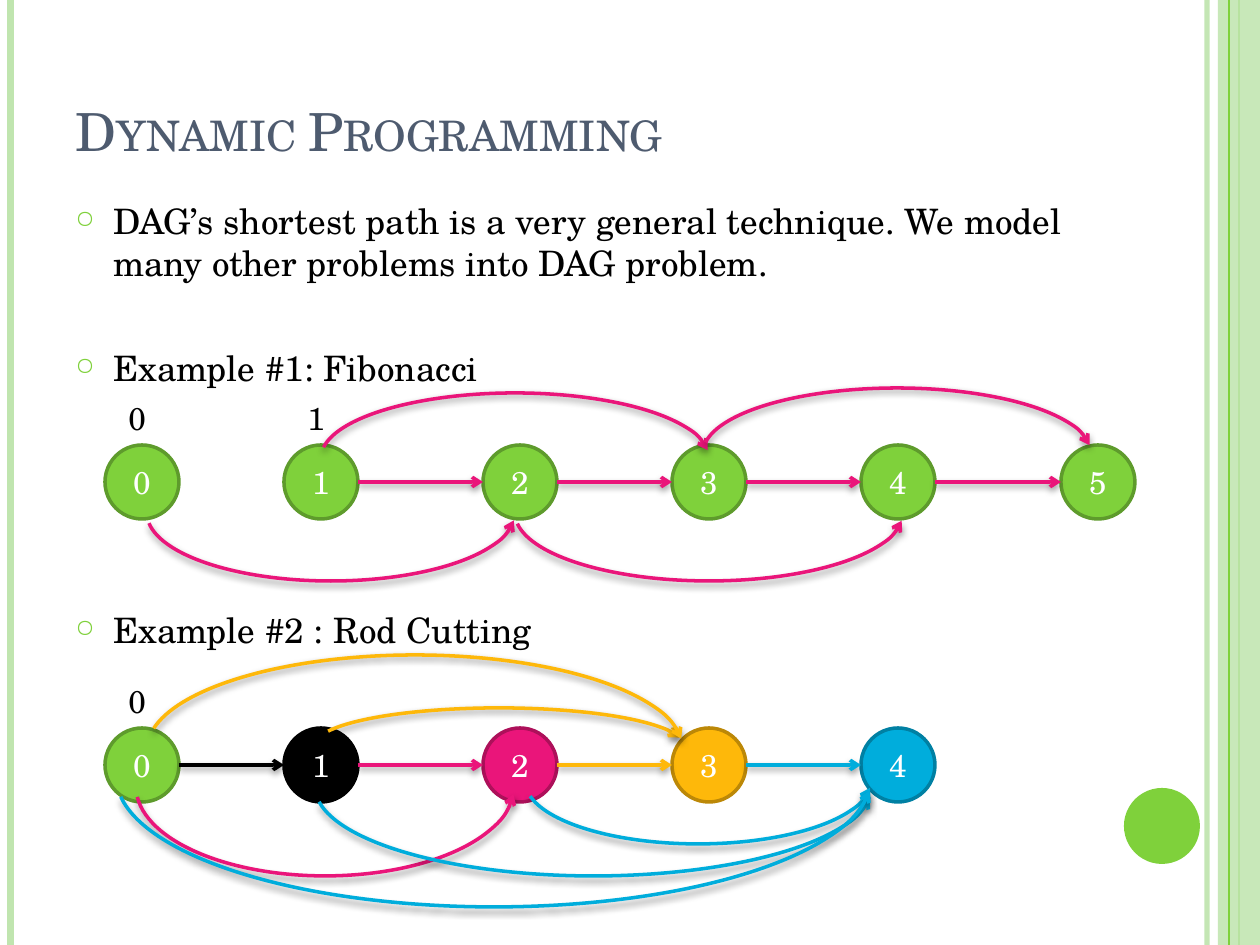
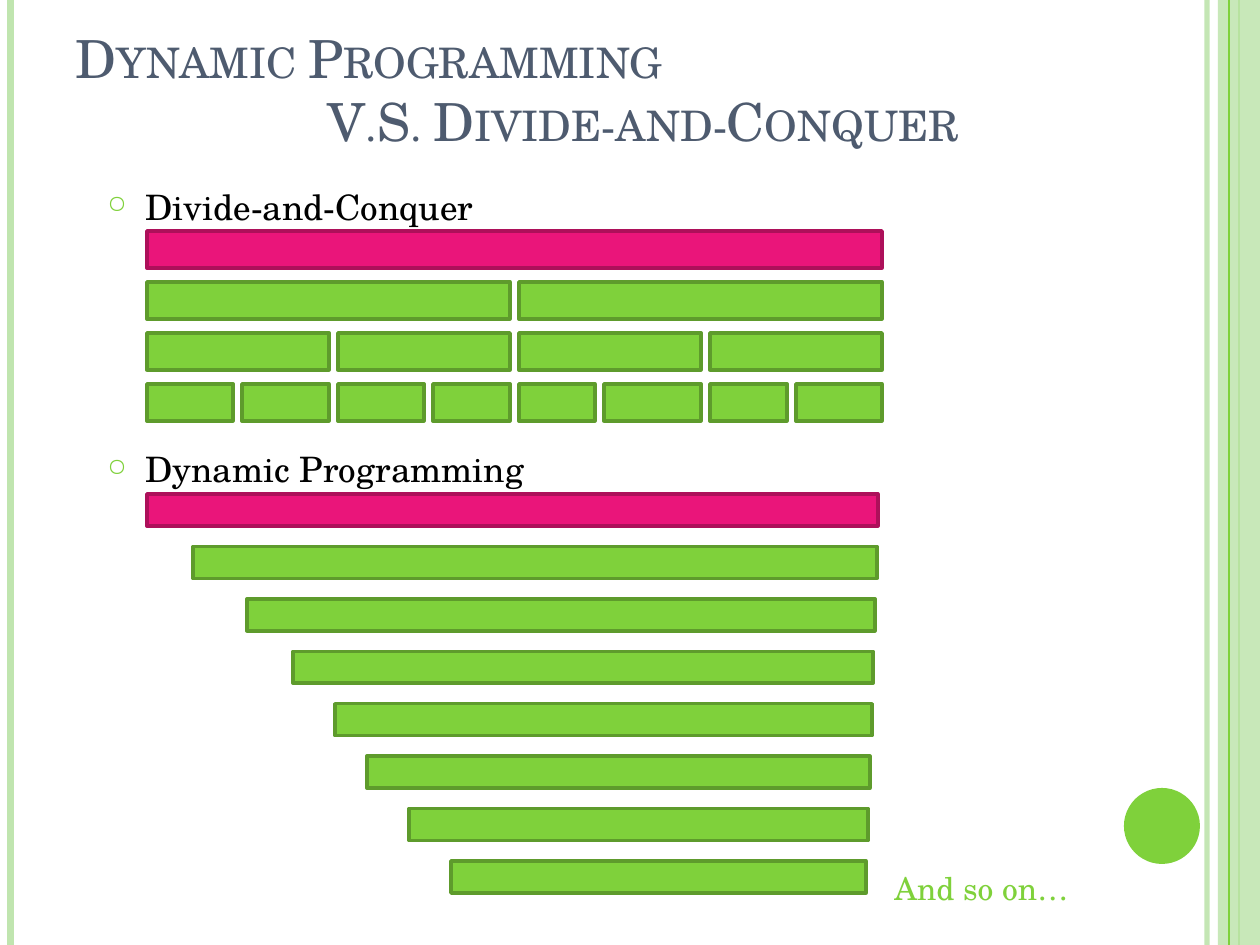
from dataclasses import dataclass

from lxml import etree
from pptx import Presentation
from pptx import util as u
from pptx.dml.color import RGBColor
from pptx.enum import shapes, text
from pptx.oxml.ns import qn


@dataclass(frozen=True)
class Theme:
    """Colours, font and type sizes of the deck."""
    font: str = "TeX Gyre Schola"
    head: int = 30
    body: int = 20
    note: int = 18
    slate: str = "4E5B6F"
    black: str = "000000"
    white: str = "FFFFFF"
    pale: str = "C0E5AF"
    green: str = "7FD13B"
    pink: str = "EA157A"
    gold: str = "FEB80A"
    blue: str = "00ADDC"


T = Theme()
RIMS = {T.green: "5E9B2C", T.pink: "AD105A", T.gold: "BC8807",
        T.blue: "0080A3", T.black: T.black}
SCALE = 914400 / 126
NODES = [0, 179, 378, 567, 756, 956]
NODE = 74
EDGES = [0, 95, 191, 286, 372, 457, 563, 649, 744]
STEPS = [0, 46, 100, 146, 188, 220, 262, 304]
KIND = shapes.MSO_SHAPE


def px(*vals):
    """Turn px lengths into EMU."""
    return [u.Emu(round(val * SCALE)) for val in vals]


def put(item, vals):
    """Set attributes from a dict."""
    for key, val in vals.items():
        setattr(item, key, val)


def node(root, tag, **attrs):
    """Append a drawing element and return it."""
    return etree.SubElement(root, qn("a:" + tag), attrs)


def write(par, words, size, color):
    """Add a formatted run to a paragraph."""
    run = par.add_run()
    run.text = words
    put(run.font, {"name": T.font, "size": u.Pt(size)})
    run.font.color.rgb = RGBColor.from_string(color)
    return run


def effect(item, shade=False):
    """Replace the style's shadow by none or by a soft one."""
    fx = node(item.element.spPr, "effectLst")
    if shade:
        cast = node(fx, "outerShdw", blurRad=str(u.Pt(4)), dist=str(u.Pt(2)),
                    dir="5400000", rotWithShape="0")
        node(node(cast, "srgbClr", val=T.black), "alpha", val="40000")


def fade(item, part):
    """Set the opacity of a shape's colours in percent."""
    for color in list(item.element.spPr.iter(qn("a:srgbClr"))):
        node(color, "alpha", val=str(part * 1000))


def stroke(item, color, width=2, arrow=False):
    """Format a line, with an arrowhead and shadow if asked."""
    item.line.color.rgb = RGBColor.from_string(color)
    item.line.width = u.Pt(width)
    if arrow:
        node(item.element.spPr.find(qn("a:ln")), "tailEnd", type="arrow")
    effect(item, arrow)


def solid(pen, kind, box, fill, rim=None):
    """Draw a filled shape."""
    item = pen.add_shape(kind, *px(*box))
    item.fill.solid()
    item.fill.fore_color.rgb = RGBColor.from_string(fill)
    if rim:
        stroke(item, rim)
    else:
        item.line.fill.background()
        effect(item)
    return item


def line(pen, ends, color, width=2, arrow=False):
    """Draw a straight line."""
    item = pen.add_connector(shapes.MSO_CONNECTOR.STRAIGHT, *px(*ends))
    stroke(item, color, width, arrow)
    return item


def arc(pen, box, color, flip, start):
    """Draw a curved arrow, with its start in degrees."""
    item = pen.add_shape(KIND.ARC, *px(*box))
    item.adjustments[0] = start * 0.6
    item.adjustments[1] = 214.6
    item.fill.background()
    if flip:
        item.element.spPr.find(qn("a:xfrm")).set("flipV", "1")
    stroke(item, color, arrow=True)


def label(pen, box, words, color):
    """Place a short line of text."""
    frame = pen.add_textbox(*px(*box)).text_frame
    frame.word_wrap = True
    write(frame.paragraphs[0], words, T.note, color)


def bands(slide, layout, box):
    """Draw the side bands and move them to the layout."""
    for hold in list(layout.placeholders):
        if hold.placeholder_format.idx:
            hold.element.getparent().remove(hold.element)
    left, top, wide, high = box
    pen = slide.shapes

    def rule(x, color, width):
        """Draw a rule over the full height."""
        return line(pen, (left + x, top, left + x, top + high), color, width)

    edge = rule(wide - 53, T.pale, 3)
    fade(edge, 93)
    parts = [edge, rule(10.5, T.pale, 4.5), rule(wide - 21, T.green, 1.5)]
    strip = solid(pen, KIND.RECTANGLE, (left + wide - 42, top, 42, high), T.pale)
    fade(strip, 87)
    parts += [strip, rule(wide - 31, T.green, 0.75)]
    dot = (left + wide - 136, top + high - 157, 76, 76)
    parts.append(solid(pen, KIND.OVAL, dot, T.green))
    for part in parts:
        layout.shapes.element.append(part.element)


def title(slide, box, lines):
    """Format the title; each further line is indented."""
    hold = slide.shapes.title
    put(hold, dict(zip(("left", "top", "width", "height"), px(*box))))
    frame = hold.text_frame
    put(frame, {"vertical_anchor": text.MSO_ANCHOR.BOTTOM, "word_wrap": True,
                "auto_size": text.MSO_AUTO_SIZE.NONE})
    for row, words in enumerate(lines):
        par = frame.add_paragraph() if row else frame.paragraphs[0]
        par.alignment = text.PP_ALIGN.LEFT
        par._p.get_or_add_pPr().set("marL", str(px(252 * row)[0]))
        run = write(par, words, T.head, T.slate)
        run.font._element.set("cap", "small")


def points(slide, box, items):
    """Write bullets, each with its space before in points."""
    frame = slide.shapes.add_textbox(*px(*box)).text_frame
    frame.word_wrap = True
    for row, (words, gap) in enumerate(items):
        par = frame.add_paragraph() if row else frame.paragraphs[0]
        par.space_before = u.Pt(gap)
        props = par._p.get_or_add_pPr()
        props.set("marL", str(u.Inches(0.3)))
        props.set("indent", str(u.Inches(-0.3)))
        node(node(props, "buClr"), "srgbClr", val=T.green)
        node(props, "buSzPct", val="70000")
        node(props, "buChar", char="○")
        write(par, words, T.body, T.black)


def graph(slide, box, fills, links, arcs, seeds):
    """Draw a row of numbered nodes, its links, arcs and seed labels."""
    left, top = box
    pen = slide.shapes.add_group_shape().shapes
    for num, fill in enumerate(fills):
        spot = (left + NODES[num], top, NODE, NODE)
        item = solid(pen, KIND.OVAL, spot, fill, RIMS[fill])
        frame = item.text_frame
        frame.vertical_anchor = text.MSO_ANCHOR.MIDDLE
        par = frame.paragraphs[0]
        par.alignment = text.PP_ALIGN.CENTER
        write(par, str(num), T.note, T.white)
    mid = top + NODE / 2
    for end, color in links.items():
        ends = (left + NODES[end - 1] + NODE, mid, left + NODES[end], mid)
        line(pen, ends, color, arrow=True)
    for x, y, wide, high, color, flip, start in arcs:
        arc(pen, (left + x, top + y, wide, high), color, flip, start)
    for num, words in enumerate(seeds):
        label(pen, (left + NODES[num] + 11, top - 52, 45, 50), words, T.black)


def bar(pen, box, first):
    """Draw a bar, pink for the whole problem and green for a part."""
    fill = T.pink if first else T.green
    solid(pen, KIND.RECTANGLE, box, fill, RIMS[fill])


def halves(slide, box):
    """Draw rows of bars that halve at each level."""
    left, top = box
    pen = slide.shapes.add_group_shape().shapes
    for row in range(4):
        step = 8 >> row
        for col in range(0, 8, step):
            wide = EDGES[col + step] - EDGES[col] - 9
            bar(pen, (left + EDGES[col], top + 51 * row, wide, 37), row == 0)


def stairs(slide, box):
    """Draw bars that shrink step by step."""
    left, top, wide, high = box
    last = len(STEPS) - 1
    for row, step in enumerate(STEPS):
        y = top + (high - 32) * row / last
        size = wide - step - 12 * row // last
        bar(slide.shapes, (left + step, y, size, 32), row == 0)


def paths(slide):
    """Build the slide with the two graph examples."""
    title(slide, (63, 10, 1030, 158), ["Dynamic Programming"])
    points(slide, (63, 193, 1030, 472), [
        ("DAG’s shortest path is a very general technique. "
         "We model many other problems into DAG problem.", 6),
        ("Example #1: Fibonacci", 36),
        ("Example #2 : Rod Cutting", 126)])
    hues = [T.green, T.black, T.pink, T.gold, T.blue]
    graph(slide, (105, 728), hues, dict(list(enumerate(hues))[1:]), [
        (31, -31, 378, 179, T.pink, True, 183.2),
        (210, -20, 368, 74, T.gold, False, 184.6),
        (420, -10, 346, 126, T.blue, True, 185.2),
        (42, -73, 536, 189, T.gold, False, 184.6),
        (210, -31, 557, 179, T.blue, True, 183.2),
        (11, -83, 756, 262, T.blue, True, 183.2)], "0")
    graph(slide, (105, 445), [T.green] * 6, dict.fromkeys(range(2, 6), T.pink), [
        (42, 0, 368, 136, T.pink, True, 183.2),
        (216, -52, 388, 130, T.pink, False, 183.2),
        (410, 0, 388, 136, T.pink, True, 183.2),
        (598, -57, 388, 130, T.pink, False, 183.2)], "01")


def versus(slide):
    """Build the slide that compares the two methods."""
    title(slide, (63, 0, 1030, 158),
          ["Dynamic Programming", "V.S. Divide-and-Conquer"])
    points(slide, (95, 179, 1030, 672),
           [("Divide-and-Conquer", 6), ("Dynamic Programming", 126)])
    halves(slide, (147, 231))
    stairs(slide, (147, 494, 731, 399))
    label(slide.shapes, (882, 863, 214, 50), "And so on…", T.green)


def main():
    """Build and save the deck."""
    deck = Presentation()
    deck.slide_width, deck.slide_height = px(1260, 945)
    layout = deck.slide_layouts[5]
    first, second = [deck.slides.add_slide(layout) for _ in range(2)]
    bands(first, layout, (0, 0, 1260, 945))
    paths(first)
    versus(second)
    deck.save("out.pptx")


if __name__ == "__main__":
    main()
